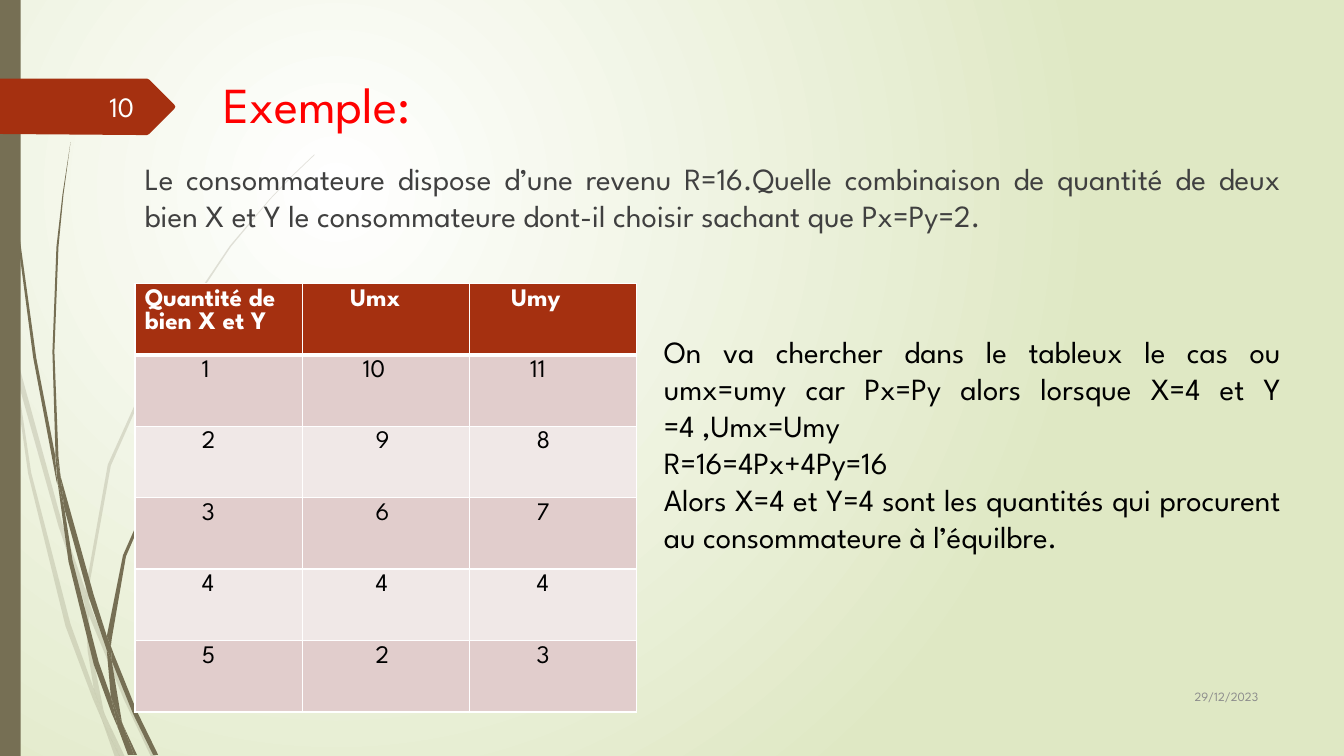
from dataclasses import dataclass

from lxml import etree
from pptx import Presentation
from pptx import util as u
from pptx.dml.color import RGBColor
from pptx.enum import shapes, text
from pptx.oxml import ns


@dataclass(frozen=True)
class Theme:
    font: str = "League Spartan"
    paper: str = "FFFFFF"
    paper_edge: str = "DFE8C4"
    stem: str = "766F54"
    accent: str = "A53010"
    title: str = "FF0000"
    question: str = "404040"
    ink: str = "000000"
    date: str = "8C8C8C"
    number: str = "FEFFFF"
    bands: tuple[str, str] = ("E1CDCC", "F0E8E7")
    title_size: int = 36
    body_size: int = 22
    number_size: int = 20
    table_size: int = 18
    date_size: int = 9


@dataclass(frozen=True)
class Box:
    left: float
    top: float
    width: float
    height: float

    def lengths(self) -> tuple:
        return tuple(u.Cm(v) for v in (self.left, self.top, self.width, self.height))


@dataclass(frozen=True)
class Entry:
    label: str
    indent: int


Outline = list[tuple[int, int]]
THEME = Theme()
GRID = u.Cm(0.0254)  # one unit of the outlines below
CELL_INSET, INDENT_STEP = 0.25, 0.16

PALE_STEMS: list[Outline] = [
    [(11, 350), (9, 322), (0, 282), (0, 299), (10, 344)],
    [(58, 522), (84, 599), (85, 586), (62, 520), (14, 345), (17, 376)],
    [(92, 607), (88, 596), (88, 610), (123, 694), (150, 751), (155, 751), (127, 692)],
    [(119, 751), (124, 751), (105, 711)],
    [(93, 683), (70, 619), (31, 469), (17, 376), (11, 350), (28, 470), (65, 621),
     (92, 693), (101, 714), (99, 707)],
    [(84, 599), (87, 646), (93, 683), (96, 692), (105, 711), (103, 706), (91, 646),
     (88, 610), (88, 608)],
    [(88, 584), (110, 462), (160, 349), (229, 245), (268, 198), (290, 175), (312, 154),
     (312, 153), (289, 175), (268, 197), (228, 244), (158, 348), (107, 461), (85, 584),
     (85, 586), (88, 596)],
    [(101, 714), (114, 751), (119, 751)],
    [(88, 608), (88, 610), (88, 596), (85, 586), (84, 599)],
    [(96, 692), (93, 683), (99, 707), (101, 714), (119, 751), (105, 711)],
]
DARK_STEMS: list[Outline] = [
    [(7, 110), (17, 233), (33, 355), (56, 477), (57, 481), (55, 457), (55, 453),
     (36, 355), (19, 232), (8, 109), (5, 48), (4, 0), (3, 0), (4, 48)],
    [(88, 592), (106, 645), (106, 633), (106, 631), (93, 590), (60, 472), (64, 505)],
    [(113, 649), (110, 641), (111, 656), (132, 708), (152, 749), (157, 749), (136, 706)],
    [(110, 691), (98, 657), (72, 556), (64, 505), (57, 477), (68, 557), (93, 659),
     (111, 708), (117, 722), (116, 717)],
    [(60, 472), (58, 453), (54, 349), (58, 245), (63, 193), (70, 141), (62, 193),
     (56, 245), (52, 349), (55, 449)],
    [(133, 749), (136, 749), (122, 719)],
    [(57, 477), (64, 505), (60, 472), (55, 449), (55, 453)],
    [(111, 633), (125, 552), (158, 476), (205, 406), (231, 374), (245, 359), (261, 344),
     (260, 344), (245, 358), (231, 373), (204, 405), (156, 474), (122, 551), (106, 631),
     (110, 641)],
    [(117, 722), (127, 749), (131, 749)],
    [(106, 645), (110, 691), (116, 706), (122, 719), (121, 716), (111, 656), (109, 651)],
    [(106, 645), (109, 651), (111, 656), (110, 641), (106, 631), (106, 633)],
    [(116, 706), (110, 691), (116, 717), (117, 722), (130, 749), (133, 749), (122, 719)],
]
BANNER: Outline = [(173, 108), (148, 133), (146, 134), (136, 134), (0, 133), (0, 78),
                   (146, 78), (148, 79), (173, 104), (174, 106)]

HEADINGS = [Entry("Quantité de bien X et Y", 0), Entry("Umx", 6), Entry("Umy", 5)]
UTILITIES = [(1, 10, 11), (2, 9, 8), (3, 6, 7), (4, 4, 4), (5, 2, 3)]
DIGIT_INDENTS = (9, 10, 9)
TWO_DIGIT_INDENT = 8

QUESTION = ("Le consommateure dispose d’une revenu R=16.Quelle combinaison de quantité de "
            "deux bien X et Y le consommateure dont-il choisir sachant que Px=Py=2.")
ANSWER = [
    "On va chercher dans le tableux le cas ou umx=umy car Px=Py alors lorsque X=4 et Y "
    "=4 ,Umx=Umy",
    "R=16=4Px+4Py=16",
    "Alors X=4 et Y=4 sont les quantités qui procurent au consommateure à l’équilbre.",
]


def write(frame, *lines: str, size: int, color: str, align=text.PP_ALIGN.LEFT,
          anchor=text.MSO_ANCHOR.TOP, bold: bool = False, before: int = 0) -> None:
    frame.word_wrap = True
    frame.vertical_anchor = anchor
    for index, line in enumerate(lines):
        paragraph = frame.add_paragraph() if index else frame.paragraphs[0]
        paragraph.alignment = align
        paragraph.space_before = u.Pt(before)
        run = paragraph.add_run()
        run.text = line
        run.font.name, run.font.size, run.font.bold = THEME.font, u.Pt(size), bold
        run.font.color.rgb = RGBColor.from_string(color)


def add_text(slide, box: Box, *lines: str, **style) -> None:
    write(slide.shapes.add_textbox(*box.lengths()).text_frame, *lines, **style)


def paint(shape, color: str, opacity: int = 100) -> None:
    shape.shadow.inherit = False
    shape.fill.solid()
    shape.fill.fore_color.rgb = RGBColor.from_string(color)
    shape.line.fill.background()
    if opacity < 100:
        tint = shape.element.find(".//" + ns.qn("a:srgbClr"))
        etree.SubElement(tint, ns.qn("a:alpha"), val=str(opacity * 1000))


def add_outline(slide, outline: Outline, color: str, opacity: int = 100) -> None:
    builder = slide.shapes.build_freeform(*outline[0], scale=GRID)
    builder.add_line_segments(outline[1:], close=True)
    paint(builder.convert_to_shape(), color, opacity)


def set_background(slide) -> None:
    """Radial glow centred in the upper left quarter."""
    fill = slide.background.fill
    fill.gradient()
    for stop, color in zip(fill.gradient_stops, (THEME.paper, THEME.paper_edge)):
        stop.color.rgb = RGBColor.from_string(color)
    gradient = slide.element.find(".//" + ns.qn("a:gradFill"))
    gradient.remove(gradient.find(ns.qn("a:lin")))
    glow = etree.SubElement(gradient, ns.qn("a:path"), path="circle")
    etree.SubElement(glow, ns.qn("a:fillToRect"), l="50000", t="50000", r="100000", b="100000")


def set_borders(cell, **points: int) -> None:
    properties = cell._tc.get_or_add_tcPr()
    for side in "LRTB":
        line = etree.SubElement(properties, ns.qn(f"a:ln{side}"),
                                w=str(u.Pt(points.get(side, 1))))
        solid = etree.SubElement(line, ns.qn("a:solidFill"))
        etree.SubElement(solid, ns.qn("a:srgbClr"), val=THEME.paper)


def add_utility_table(slide, box: Box) -> None:
    rows = [HEADINGS] + [
        [Entry(str(value), indent if value < 10 else TWO_DIGIT_INDENT)
         for value, indent in zip(values, DIGIT_INDENTS)]
        for values in UTILITIES
    ]
    table = slide.shapes.add_table(len(rows), len(HEADINGS), *box.lengths()).table
    for r, entries in enumerate(rows):
        heading = r == 0
        for c, entry in enumerate(entries):
            cell = table.cell(r, c)
            set_borders(cell, B=3 if heading else 1, T=3 if r == 1 else 1)
            cell.fill.solid()
            cell.fill.fore_color.rgb = RGBColor.from_string(
                THEME.accent if heading else THEME.bands[(r - 1) % 2])
            cell.margin_left = u.Cm(CELL_INSET + INDENT_STEP * entry.indent)
            write(cell.text_frame, entry.label, size=THEME.table_size, bold=heading,
                  color=THEME.paper if heading else THEME.ink)


def main() -> None:
    deck = Presentation()
    deck.slide_width, deck.slide_height = u.Cm(33.87), u.Cm(19.05)
    slide = deck.slides.add_slide(deck.slide_layouts[6])
    set_background(slide)
    for stems, opacity in ((PALE_STEMS, 20), (DARK_STEMS, 100)):
        for stem in stems:
            add_outline(slide, stem, THEME.stem, opacity)
    side_bar = Box(0, 0, 0.52, 19.05)
    paint(slide.shapes.add_shape(shapes.MSO_SHAPE.RECTANGLE, *side_bar.lengths()), THEME.stem)
    add_outline(slide, BANNER, THEME.accent)

    justify, right = text.PP_ALIGN.JUSTIFY, text.PP_ALIGN.RIGHT
    middle = text.MSO_ANCHOR.MIDDLE
    add_text(slide, Box(5.38, 1.73, 26.57, 2.16), "Exemple:",
             size=THEME.title_size, color=THEME.title)
    add_text(slide, Box(3.4, 3.89, 29.13, 8.64), QUESTION, size=THEME.body_size,
             color=THEME.question, align=justify, before=10)
    add_utility_table(slide, Box(3.4, 7.14, 12.65, 10.8))
    add_text(slide, Box(16.48, 8.26, 16.05, 7.77), *ANSWER, size=THEME.body_size,
             color=THEME.ink, align=justify)
    add_text(slide, Box(28.78, 17.02, 3.18, 1.04), "29/12/2023", size=THEME.date_size,
             color=THEME.date, align=right, anchor=middle)
    add_text(slide, Box(1.47, 2.18, 2.16, 1.02), "10", size=THEME.number_size,
             color=THEME.number, align=right, anchor=middle)
    deck.save("out.pptx")


if __name__ == "__main__":
    main()
